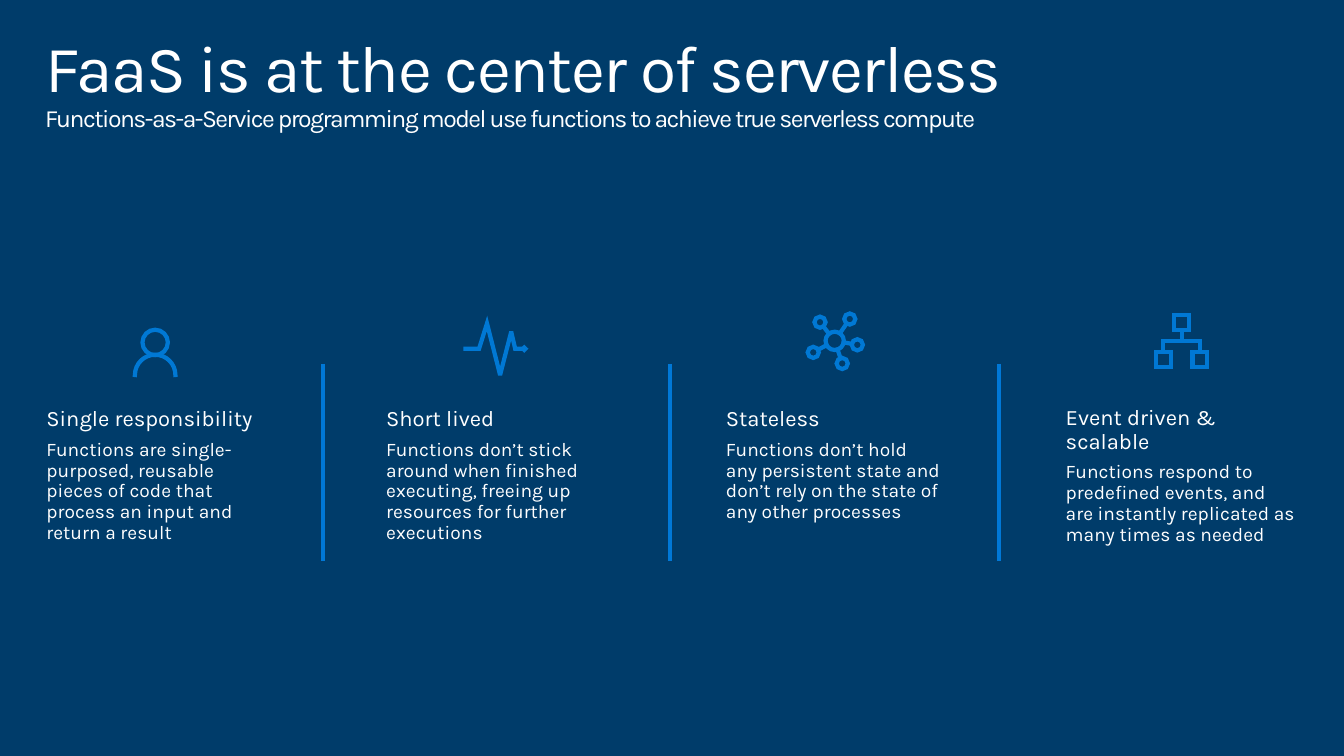
"""Build the slide on FaaS as the center of serverless."""
import math
from dataclasses import dataclass

from lxml import etree
from pptx import Presentation
from pptx import util as u
from pptx.dml.color import RGBColor
from pptx.enum import shapes, text
from pptx.oxml.ns import qn

NAVY, WHITE, BLUE, ICON_BLUE = "003C6A", "FFFFFF", "0078D7", "0078D4"
FONT = "Karla"
COLUMN_LEFT, COLUMN_STEP = 0.92, 8.56
DIVIDERS = (8.13, 16.88, 25.17)

Point = tuple[float, float]


@dataclass
class Contour:
    points: list[Point]
    curved: bool = False


@dataclass
class Column:
    heading: str
    body: str
    width: float
    icon: list[Contour]
    top: float = 10.15


def arc(center: Point, radius: float, start: int = 0, end: int = 360) -> Contour:
    (cx, cy), k = center, 0.55
    points = [(math.cos(math.radians(start)), math.sin(math.radians(start)))]
    for angle in range(start, end, 90):
        c, s = math.cos(math.radians(angle)), math.sin(math.radians(angle))
        points += [(c - k * s, s + k * c), (k * c - s, k * s + c), (-s, c)]
    return Contour([(cx + radius * x, cy + radius * y) for x, y in points], curved=True)


def square(center: Point, side: float) -> Contour:
    (cx, cy), h = center, side / 2
    return Contour([(cx - h, cy - h), (cx + h, cy - h), (cx + h, cy + h),
                    (cx - h, cy + h), (cx - h, cy - h)])


def person_icon() -> list[Contour]:
    return [arc((3.91, 8.63), 0.32), arc((3.91, 9.45), 0.51, 180, 360)]


def pulse_icon() -> list[Contour]:
    wave = [(11.73, 8.79), (12.07, 8.79), (12.27, 8.15), (12.6, 9.45),
            (12.88, 8.36), (12.98, 8.79), (13.18, 8.79)]
    return [Contour(wave), arc((13.21, 8.79), 0.03)]


def network_icon() -> list[Contour]:
    hub, hub_r, node_r = (21.03, 8.59), 0.23, 0.14
    nodes = [(21.41, 8.04), (20.66, 8.12), (20.49, 8.88), (21.22, 9.16), (21.6, 8.69)]
    contours = [arc(hub, hub_r)]
    for node in nodes:
        dx, dy = node[0] - hub[0], node[1] - hub[1]
        length = math.hypot(dx, dy)
        ends = (hub_r / length, 1 - node_r / length)
        contours.append(arc(node, node_r))
        contours.append(Contour([(hub[0] + dx * t, hub[1] + dy * t) for t in ends]))
    return contours


def tree_icon() -> list[Contour]:
    x, spread, side = 29.77, 0.46, 0.37
    left, right = x - spread, x + spread
    boxes = [square(c, side) for c in ((x, 8.13), (left, 9.06), (right, 9.06))]
    stem = Contour([(x, 8.31), (x, 8.59)])
    bracket = Contour([(left, 8.87), (left, 8.59), (right, 8.59), (right, 8.87)])
    return [*boxes, stem, bracket]


COLUMNS = [
    Column("Single responsibility",
           "Functions are single-purposed, reusable pieces of code that "
           "process an input and return a result", 5.97, person_icon()),
    Column("Short lived",
           "Functions don’t stick around when finished executing, "
           "freeing up resources for further executions", 6.53, pulse_icon()),
    Column("Stateless",
           "Functions don’t hold any persistent state and don’t rely on "
           "the state of any other processes", 5.97, network_icon()),
    Column("Event driven & scalable",
           "Functions respond to predefined events, and are instantly "
           "replicated as many times as needed", 6.32, tree_icon(), 10.12),
]


def color(value: str) -> RGBColor:
    return RGBColor.from_string(value)


def add_text(p, content: str, *, size: float, fill: str = WHITE, spacing: int = 0) -> None:
    r = p.add_run()
    r.text = content
    r.font.name, r.font.size = FONT, u.Pt(size)
    r.font.color.rgb = color(fill)
    if spacing:
        r.font._element.set("spc", str(spacing))


def add_title(slide) -> None:
    sp = slide.shapes.title
    sp.left, sp.top, sp.width, sp.height = (u.Cm(v) for v in (0.73, 0.64, 32.39, 2.49))
    tf = sp.text_frame
    tf.word_wrap, tf.auto_size = True, text.MSO_AUTO_SIZE.NONE
    tf.vertical_anchor = text.MSO_ANCHOR.TOP
    tf.margin_left = tf.margin_right = u.Cm(0.41)
    tf.margin_top = tf.margin_bottom = u.Cm(0.25)
    p = tf.paragraphs[0]
    p.alignment, p.line_spacing, p.space_before = text.PP_ALIGN.LEFT, 0.9, u.Pt(0)
    add_text(p, "FaaS is at the center of serverless", size=47.06, spacing=-104)
    p.add_line_break()
    add_text(p, "Functions-as-a-Service programming model use functions "
                "to achieve true serverless compute", size=17.65, spacing=-104)


def bend(path, contours: list[Contour]) -> None:
    """Turn each three segments of a curved contour into one cubic curve."""
    starts = path.findall(qn("a:moveTo"))
    for start, contour in zip(starts, contours):
        if not contour.curved:
            continue
        segments = list(start.itersiblings())[:len(contour.points) - 1]
        for i in range(0, len(segments), 3):
            curve = etree.Element(qn("a:cubicBezTo"))
            segments[i].addprevious(curve)
            for segment in segments[i:i + 3]:
                curve.append(segment[0])
                path.remove(segment)


def add_icon(group, contours: list[Contour]) -> None:
    paths = [[(u.Cm(x), u.Cm(y)) for x, y in c.points] for c in contours]
    builder = group.shapes.build_freeform(*paths[0][0])
    for i, points in enumerate(paths):
        if i:
            builder.move_to(*points[0])
        closed = math.dist(points[0], points[-1]) < 10
        builder.add_line_segments(points[1:], close=closed)
    sp = builder.convert_to_shape()
    sp.shadow.inherit = False
    sp.fill.background()
    sp.line.color.rgb, sp.line.width = color(ICON_BLUE), u.Pt(3)
    ln = sp._element.spPr.find(qn("a:ln"))
    ln.set("cap", "sq")
    etree.SubElement(ln, qn("a:miter"), lim="800000")
    bend(next(sp._element.iter(qn("a:path"))), contours)


def add_column(slide, column: Column, left: float) -> None:
    group = slide.shapes.add_group_shape()
    sp = group.shapes.add_textbox(u.Cm(left), u.Cm(column.top), u.Cm(column.width), u.Cm(3.18))
    tf = sp.text_frame
    tf.word_wrap, tf.auto_size = True, text.MSO_AUTO_SIZE.SHAPE_TO_FIT_TEXT
    paragraphs = (tf.paragraphs[0], tf.add_paragraph())
    formats = ((column.heading, 15.69, 5.9), (column.body, 13.73, 2.9))
    for p, (content, size, after) in zip(paragraphs, formats):
        p.line_spacing, p.space_after = 0.9, u.Pt(after)
        add_text(p, content, size=size)
    add_icon(group, column.icon)


def add_divider(slide, x: float) -> None:
    line = slide.shapes.add_connector(
        shapes.MSO_CONNECTOR.STRAIGHT, u.Cm(x), u.Cm(9.17), u.Cm(x), u.Cm(14.14))
    line.line.color.rgb, line.line.width = color(BLUE), u.Pt(3)
    etree.SubElement(line._element.spPr, qn("a:effectLst"))


def main() -> None:
    prs = Presentation()
    prs.slide_width, prs.slide_height = u.Cm(33.86), u.Cm(19.05)
    slide = prs.slides.add_slide(prs.slide_layouts.get_by_name("Title Only"))
    slide.background.fill.solid()
    slide.background.fill.fore_color.rgb = color(NAVY)
    add_title(slide)
    for i, column in enumerate(COLUMNS):
        add_column(slide, column, COLUMN_LEFT + i * COLUMN_STEP)
    for x in DIVIDERS:
        add_divider(slide, x)
    prs.save("out.pptx")


if __name__ == "__main__":
    main()
